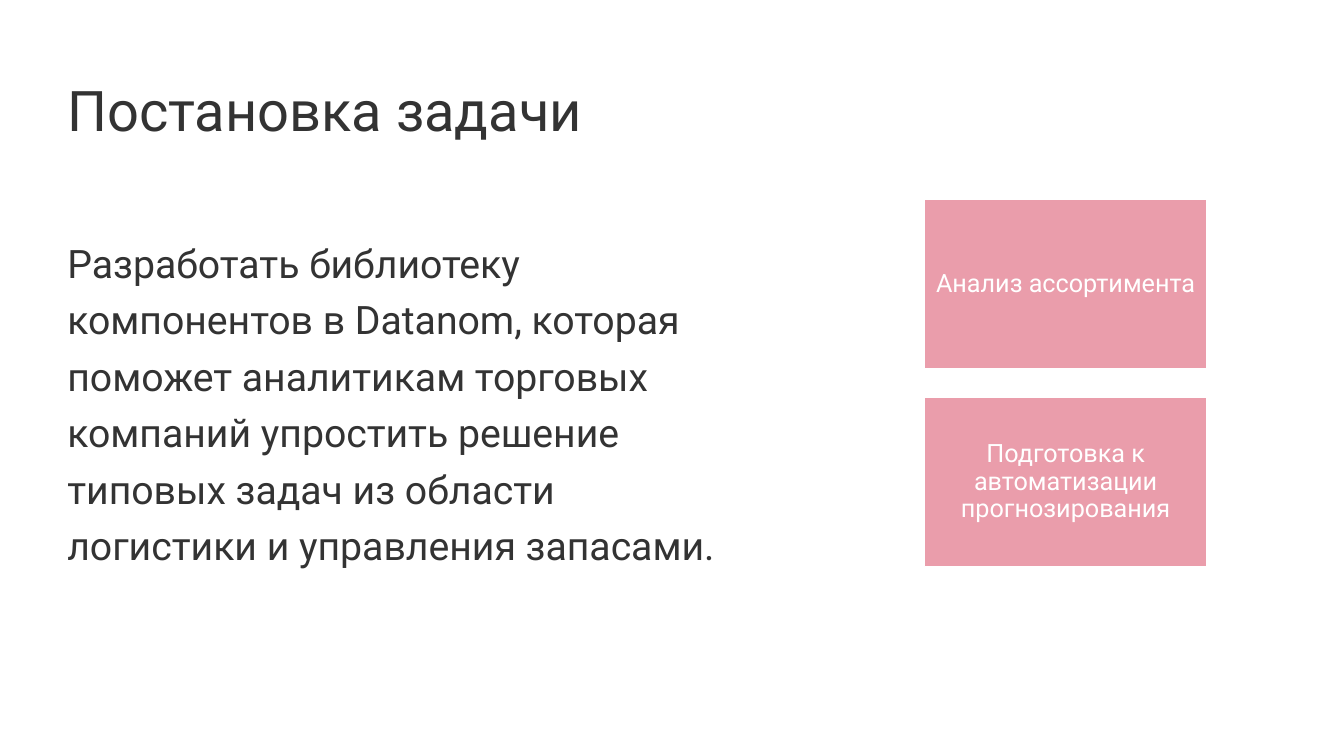
"""Builds the task statement slide with two topic cards."""
from pptx import Presentation
from pptx.dml.color import RGBColor
from pptx.enum.shapes import MSO_SHAPE
from pptx.enum.text import MSO_ANCHOR as ANCHOR, PP_ALIGN as ALIGN
from pptx.util import Inches, Pt

COLORS = {"text": "333333", "card": "EA9DAB", "white": "FFFFFF"}


class SlideBuilder:
    def __init__(self, slide, font="Roboto"):
        self.slide = slide
        self.font = font

    def color(self, name):
        return RGBColor.from_string(COLORS[name])

    def set_text(self, sp, text, size, color, spacing, anchor, align=ALIGN.LEFT):
        tf = sp.text_frame
        tf.word_wrap = True
        tf.vertical_anchor = anchor
        p = tf.paragraphs[0]
        p.text = text
        p.alignment = align
        p.line_spacing = spacing
        p.font.name = self.font
        p.font.size = Pt(size)
        p.font.color.rgb = self.color(color)
        return tf

    def add_text(self, box, text, size, spacing, anchor):
        sp = self.slide.shapes.add_textbox(*map(Inches, box))
        self.set_text(sp, text, size, "text", spacing, anchor)

    def add_card(self, box, text):
        sp = self.slide.shapes.add_shape(MSO_SHAPE.RECTANGLE, *map(Inches, box))
        sp.shadow.inherit = False
        sp.fill.solid()
        sp.fill.fore_color.rgb = self.color("card")
        sp.line.color.rgb = self.color("white")
        sp.line.width = Pt(1)
        tf = self.set_text(sp, text, 18, "white", 0.9, ANCHOR.MIDDLE, ALIGN.CENTER)
        tf.margin_left = tf.margin_right = Inches(0.07)
        tf.margin_top = tf.margin_bottom = Inches(0.07)


def main():
    prs = Presentation()
    prs.slide_width, prs.slide_height = Inches(13.33), Inches(7.5)
    s = SlideBuilder(prs.slides.add_slide(prs.slide_layouts[6]))

    s.add_text((0.57, 0.4, 12.19, 1.45), "Постановка задачи", 40, 0.9, ANCHOR.MIDDLE)
    s.add_text(
        (0.57, 2.23, 6.94, 4.13),
        "Разработать библиотеку компонентов в Datanom, которая поможет "
        "аналитикам торговых компаний упростить решение типовых задач "
        "из области логистики и управления запасами.",
        28, 1.2, ANCHOR.TOP,
    )

    topics = ["Анализ ассортимента", "Подготовка к автоматизации прогнозирования"]
    for i, topic in enumerate(topics):
        s.add_card((9.17, 1.98 + i * 1.96, 2.8, 1.68), topic)

    prs.save("out.pptx")


if __name__ == "__main__":
    main()
